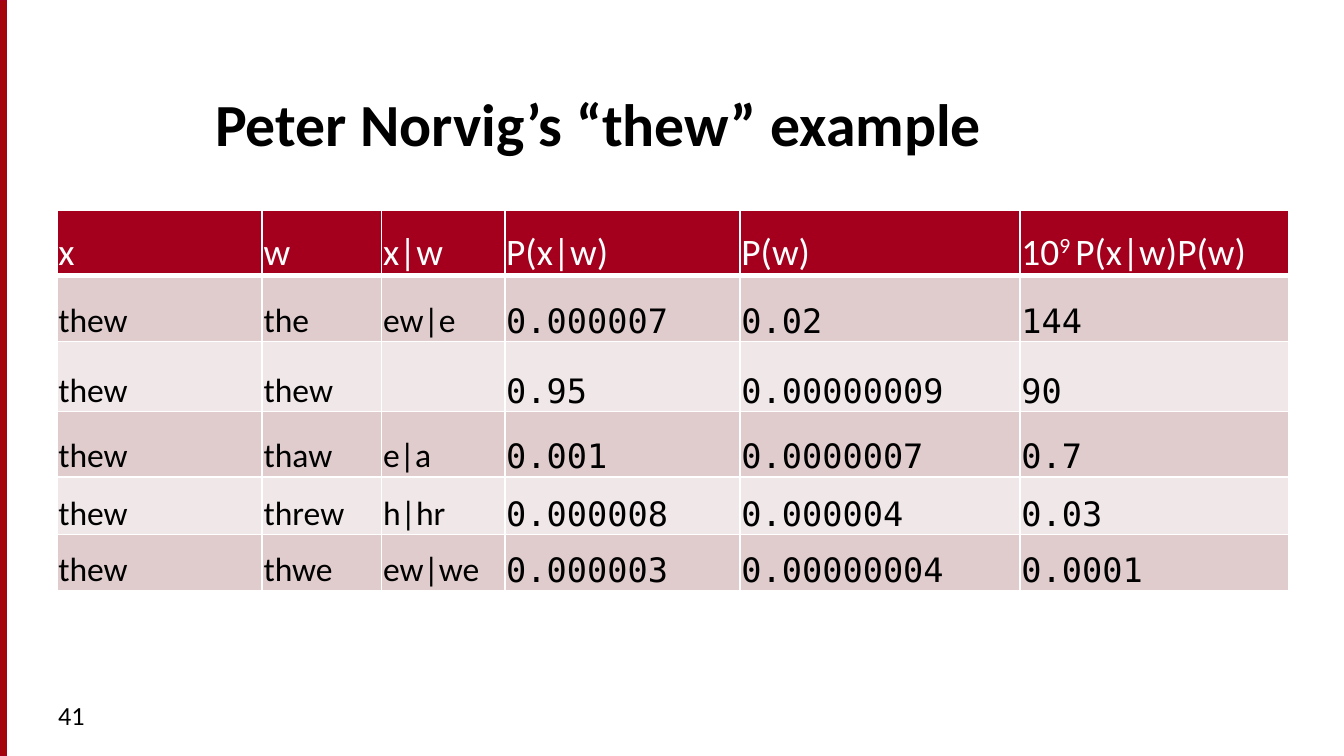
from lxml.etree import SubElement
from pptx import Presentation
from pptx.dml.color import RGBColor
from pptx.enum.shapes import MSO_SHAPE as Shape
from pptx.enum.text import MSO_ANCHOR as Anchor, PP_ALIGN as Align
from pptx.oxml import parse_xml
from pptx.oxml.ns import nsdecls, qn
from pptx.util import Pt

TITLE = "Peter Norvig’s “thew” example"
PAGE_NUMBER = "41"
HEADERS = ["x", "w", "x|w", "P(x|w)", "P(w)", ("10", "9 ", "P(x|w)P(w)")]
CANDIDATES = [
    ["thew", "the", "ew|e", "0.000007", "0.02", "144"],
    ["thew", "thew", "", "0.95", "0.00000009", "90"],
    ["thew", "thaw", "e|a", "0.001", "0.0000007", "0.7"],
    ["thew", "threw", "h|hr", "0.000008", "0.000004", "0.03"],
    ["thew", "thwe", "ew|we", "0.000003", "0.00000004", "0.0001"],
]
COLUMN_WIDTHS = [110, 64, 66, 126, 150, 144]
ROW_HEIGHTS = [35, 35.5, 37.5, 35, 31, 30]
FIRST_NUMBER_COLUMN = 3

RED, BLACK, WHITE = "A4001D", "000000", "FFFFFF"
BANDS = ["E0CCCD", "F0E7E8"]
SANS, MONO = "Calibri", "DejaVu Sans Mono"


def rgb(color):
    return RGBColor.from_string(color)


def style(font, size, color, name=SANS, bold=False):
    font.size, font.name, font.bold = Pt(size), name, bold
    font.color.rgb = rgb(color)


def place(shape, left, top, width, height):
    shape.left, shape.top = Pt(left), Pt(top)
    shape.width, shape.height = Pt(width), Pt(height)


def set_borders(cell, top, bottom):
    """Draw white cell borders; top and bottom widths are in points."""
    properties = cell._tc.get_or_add_tcPr()
    widths = {"lnL": 1, "lnR": 1, "lnT": top, "lnB": bottom}
    for index, (tag, width) in enumerate(widths.items()):
        line = parse_xml(f'<a:{tag} {nsdecls("a")} w="{Pt(width)}"/>')
        fill = SubElement(line, qn("a:solidFill"))
        SubElement(fill, qn("a:srgbClr"), val=WHITE)
        properties.insert(index, line)


def fill_cell(cell, content, row, column):
    is_header = row == 0
    cell.fill.solid()
    cell.fill.fore_color.rgb = rgb(RED if is_header else BANDS[(row - 1) % 2])
    set_borders(cell, top=3 if row == 1 else 1, bottom=3 if is_header else 1)
    cell.vertical_anchor = Anchor.BOTTOM
    cell.margin_left = cell.margin_right = cell.margin_top = Pt(0.75)
    cell.margin_bottom = 0

    para = cell.text_frame.paragraphs[0]
    if isinstance(content, tuple):
        for text in content:
            para.add_run().text = text
        para.runs[1]._r.get_or_add_rPr().set("baseline", "30000")
    else:
        para.text = content
    if is_header:
        style(para.font, 20, WHITE)
    else:
        style(para.font, 18, BLACK, MONO if column >= FIRST_NUMBER_COLUMN else SANS)


def add_candidates(page):
    rows = [HEADERS] + CANDIDATES
    frame = page.shapes.add_table(len(rows), len(HEADERS), Pt(30.5), Pt(112.5),
                                  Pt(sum(COLUMN_WIDTHS)), Pt(sum(ROW_HEIGHTS)))
    table = frame.table
    for column, width in zip(table.columns, COLUMN_WIDTHS):
        column.width = Pt(width)
    for line, height in zip(table.rows, ROW_HEIGHTS):
        line.height = Pt(height)
    for row, contents in enumerate(rows):
        for column, content in enumerate(contents):
            fill_cell(table.cell(row, column), content, row, column)


def main():
    deck = Presentation()
    deck.slide_width, deck.slide_height = Pt(720), Pt(405)
    page = deck.slides.add_slide(deck.slide_layouts[5])

    bar = page.shapes.add_shape(Shape.RECTANGLE, 0, 0, Pt(3.5), Pt(405))
    bar.shadow.inherit = False
    bar.fill.solid()
    bar.fill.fore_color.rgb = rgb("A40508")
    bar.line.color.rgb = rgb(RED)
    bar.line.width = Pt(0.75)

    title = page.shapes.title
    place(title, 108, 30, 588, 58.5)
    title.text_frame.text = TITLE
    title.text_frame.vertical_anchor = Anchor.BOTTOM
    para = title.text_frame.paragraphs[0]
    para.alignment = Align.LEFT
    style(para.font, 32, BLACK, bold=True)

    box = page.shapes.add_textbox(Pt(24), Pt(371), Pt(156), Pt(27))
    box.text_frame.word_wrap = True
    box.text_frame.text = PAGE_NUMBER
    style(box.text_frame.paragraphs[0].font, 14, BLACK)

    add_candidates(page)
    deck.save("out.pptx")


if __name__ == "__main__":
    main()
